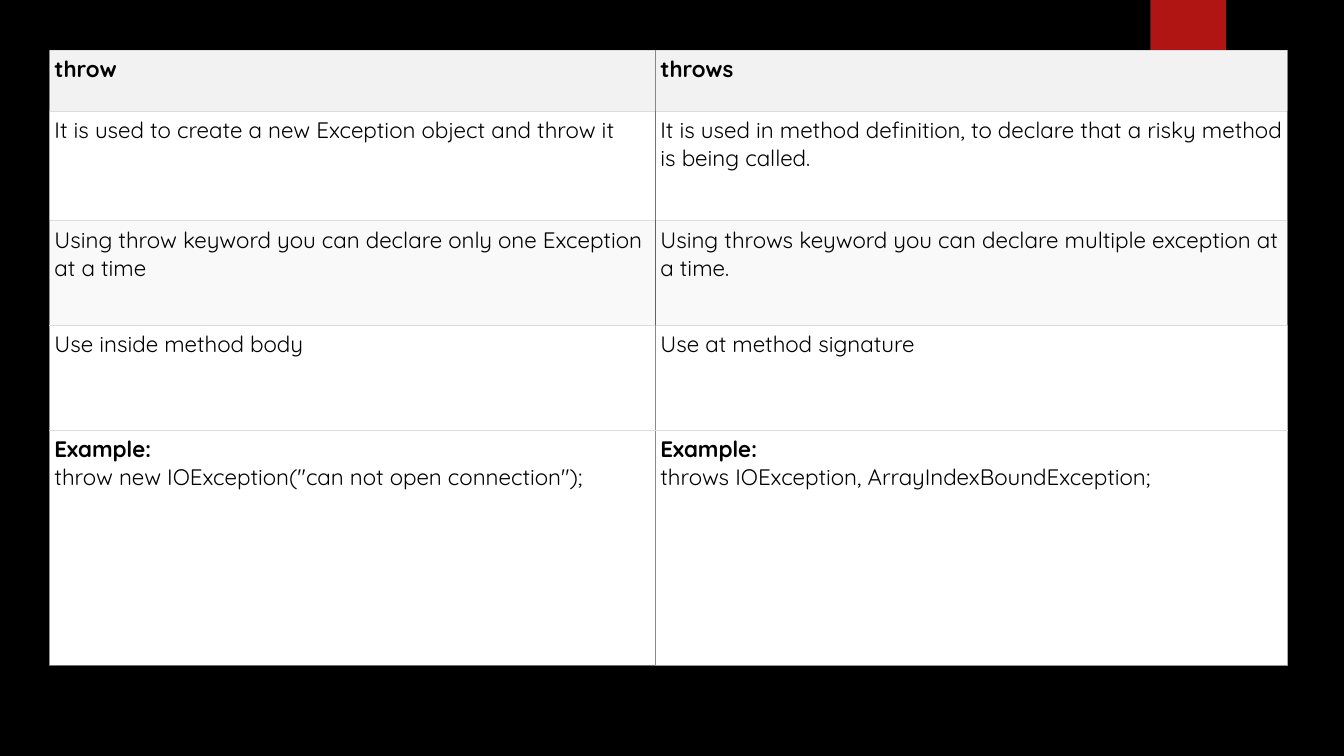
from lxml.etree import SubElement
from pptx import Presentation
from pptx.dml.color import RGBColor
from pptx.enum.shapes import MSO_SHAPE
from pptx.oxml.ns import qn
from pptx.util import Inches, Pt

COLORS = {
    "background": "000000", "text": "000000", "tab": "B01513",
    "header": "F2F2F2", "plain": "FFFFFF", "band": "F9F9F9",
    "rule": "DDDDDD", "green": "20B997", "mauve": "907F94",
    "pink": "F078F0", "azure": "407AF0", "blue": "0879F0",
    "violet": "A07AF0", "cobalt": "0078F0", "royal": "287AF0",
    "lavender": "807CF0", "purple": "A87BF0",
}
FONT = "Quicksand"
COLUMN_WIDTHS = [6.01, 6.27]
ROWS = [
    (0.6, "header", ["throw", "throws"]),
    (1.09, "plain", [
        "It is used to create a new Exception object and throw it",
        "It is used in method definition, to declare that a risky method is being called."]),
    (1.04, "band", [
        "Using throw keyword you can declare only one Exception at a time",
        "Using throws keyword you can declare multiple exception at a time."]),
    (1.04, "plain", ["Use inside method body", "Use at method signature"]),
    (2.33, "plain", [
        'Example:\nthrow new IOException("can not open connection");',
        "Example:\nthrows IOException, ArrayIndexBoundException;"]),
]
VERTICAL_RULES = [
    [("green", 0.5), ("green", 0.5), ("mauve", 1)],
    [("pink", 1), ("azure", 1), ("blue", 1)],
    [("violet", 1), ("cobalt", 1), ("royal", 1)],
    [("violet", 1), ("lavender", 1), ("pink", 1)],
    [("violet", 1), ("lavender", 1), ("pink", 1)],
]
THIN_RULE = ("rule", 0.5)
BOTTOM_RULES = [("royal", 1), ("purple", 1)]


def color(name):
    """Return the named colour."""
    return RGBColor.from_string(COLORS[name])


def add_tab(slide):
    """Add the red tab at the top edge."""
    tab = slide.shapes.add_shape(
        MSO_SHAPE.RECTANGLE, Inches(11.41), 0, Inches(0.75), Inches(1.25))
    tab.shadow.inherit = False
    tab.fill.solid()
    tab.fill.fore_color.rgb = color("tab")
    tab.line.fill.background()


def set_borders(cell, borders):
    """Draw the left, right, top and bottom borders of a cell."""
    properties = cell._tc.get_or_add_tcPr()
    for side, (name, width) in zip("LRTB", borders):
        line = SubElement(properties, qn(f"a:ln{side}"), w=str(Pt(width)))
        fill = SubElement(line, qn("a:solidFill"))
        SubElement(fill, qn("a:srgbClr"), val=COLORS[name])


def fill_cell(cell, text, fill_name):
    """Write and format the text of a cell and colour it."""
    cell.margin_left = cell.margin_right = Inches(0.05)
    cell.margin_top = cell.margin_bottom = Inches(0.05)
    cell.fill.solid()
    cell.fill.fore_color.rgb = color(fill_name)
    cell.text_frame.text = text
    for paragraph in cell.text_frame.paragraphs:
        for run in paragraph.runs:
            run.font.name = FONT
            run.font.size = Pt(16)
            run.font.bold = fill_name == "header" or run.text == "Example:"
            run.font.color.rgb = color("text")


def add_comparison(slide):
    """Add the table that compares throw with throws."""
    table = slide.shapes.add_table(
        len(ROWS), len(COLUMN_WIDTHS), Inches(0.49), Inches(0.5),
        Inches(sum(COLUMN_WIDTHS)), Inches(sum(row[0] for row in ROWS))).table
    table.horz_banding = False
    for column, width in zip(table.columns, COLUMN_WIDTHS):
        column.width = Inches(width)
    for row_index, (height, fill_name, texts) in enumerate(ROWS):
        table.rows[row_index].height = Inches(height)
        is_last = row_index == len(ROWS) - 1
        for column_index, text in enumerate(texts):
            cell = table.cell(row_index, column_index)
            left, right = VERTICAL_RULES[row_index][column_index:column_index + 2]
            bottom = BOTTOM_RULES[column_index] if is_last else THIN_RULE
            set_borders(cell, [left, right, THIN_RULE, bottom])
            fill_cell(cell, text, fill_name)


def main():
    """Build and save the presentation."""
    presentation = Presentation()
    presentation.slide_width = Inches(13.33)
    presentation.slide_height = Inches(7.5)
    slide = presentation.slides.add_slide(presentation.slide_layouts[6])
    slide.background.fill.solid()
    slide.background.fill.fore_color.rgb = color("background")
    add_tab(slide)
    add_comparison(slide)
    presentation.save("out.pptx")


if __name__ == "__main__":
    main()
